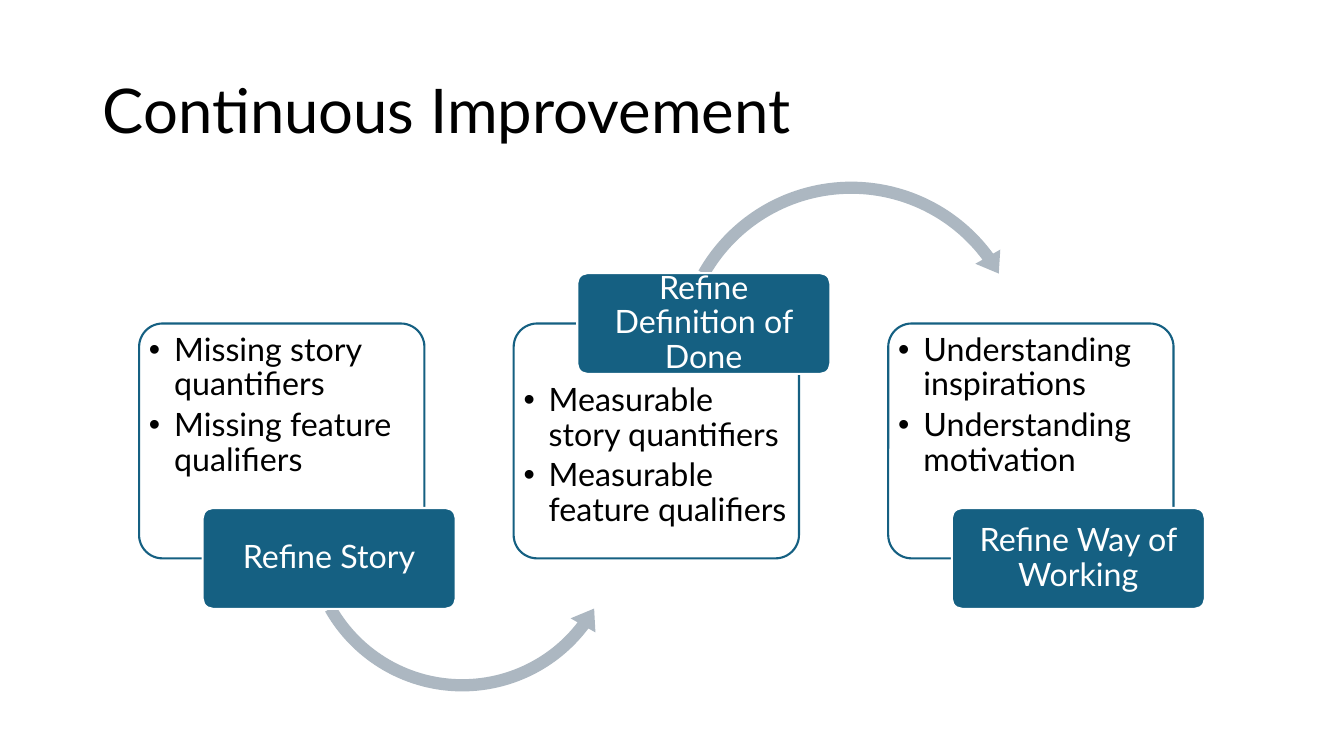
from lxml.etree import SubElement
from pptx import Presentation
from pptx.dml.color import RGBColor
from pptx.enum.shapes import MSO_SHAPE
from pptx.enum.text import MSO_ANCHOR, PP_ALIGN
from pptx.oxml.ns import qn
from pptx.util import Inches, Pt

SLIDE_WIDTH, SLIDE_HEIGHT = 13.33, 7.5
FONT = "Lato"
BLACK, WHITE, TEAL, GREY = "000000", "FFFFFF", "156082", "ACB7C1"

COLUMN_LEFT, COLUMN_STEP = 1.38, 3.715
CARD_TOP, CARD_WIDTH, CARD_HEIGHT = 3.21, 2.83, 2.33
LABEL_SHIFT, LABEL_WIDTH, LABEL_HEIGHT = 0.63, 2.51, 1

STEPS = [
    ("Refine Story", ["Missing story quantifiers", "Missing feature qualifiers"], False),
    ("Refine Definition of Done", ["Measurable story quantifiers", "Measurable feature qualifiers"], True),
    ("Refine Way of Working", ["Understanding inspirations", "Understanding motivation"], False),
]
ARROWS = [
    (MSO_SHAPE.LEFT_CIRCULAR_ARROW, 0.42, 5.295, 3.29, [0.037, 4.574, 22.329, 90.245, 0.043]),
    (MSO_SHAPE.CIRCULAR_ARROW, 1.41, 3.545, 3.65, [0.033, 4.086, 194.159, 125.755, 0.039]),
]


def colour(value):
    return RGBColor.from_string(value)


def apply_format(target, values):
    for name, value in values.items():
        setattr(target, name, value)


def column_left(column):
    return COLUMN_LEFT + column * COLUMN_STEP


def add_block(slide, kind, area, fill, line=None, adjustments=(0.1,)):
    block = slide.shapes.add_shape(kind, *map(Inches, area))
    block.shadow.inherit = False
    for index, value in enumerate(adjustments):
        block.adjustments[index] = value
    block.fill.solid()
    block.fill.fore_color.rgb = colour(fill)
    if line:
        block.line.color.rgb = colour(line)
        block.line.width = Pt(1.5)
    else:
        block.line.fill.background()
    return block


def write_text(box, lines, size, text_colour, frame_format, para_format):
    frame = box.text_frame
    apply_format(frame, {"word_wrap": True, **frame_format})
    for index, line in enumerate(lines):
        para = frame.add_paragraph() if index else frame.paragraphs[0]
        apply_format(para, {"line_spacing": 0.9, **para_format})
        span = para.add_run()
        span.text = line
        apply_format(span.font, {"name": FONT, "size": Pt(size)})
        span.font.color.rgb = colour(text_colour)


def margins(side, top, bottom):
    return {
        "margin_left": Inches(side),
        "margin_right": Inches(side),
        "margin_top": Inches(top),
        "margin_bottom": Inches(bottom),
    }


def add_bullets(box):
    for para in box.text_frame.paragraphs:
        properties = para._p.get_or_add_pPr()
        properties.set("marL", str(Inches(0.25)))
        properties.set("indent", str(Inches(-0.25)))
        SubElement(properties, qn("a:buFont"), typeface="Arial")
        SubElement(properties, qn("a:buChar"), char="•")


def add_title(slide, text):
    box = slide.shapes.add_textbox(*map(Inches, (0.92, 0.4, 11.5, 1.45)))
    write_text(box, [text], 44, BLACK, {"vertical_anchor": MSO_ANCHOR.MIDDLE}, {})


def add_card(slide, column, points, label_on_top):
    area = (column_left(column), CARD_TOP, CARD_WIDTH, CARD_HEIGHT)
    card = add_block(slide, MSO_SHAPE.ROUNDED_RECTANGLE, area, WHITE, TEAL)
    fill_colour = card.fill._xPr.find(qn("a:solidFill"))[0]
    SubElement(fill_colour, qn("a:alpha"), val="90000")
    top = LABEL_HEIGHT / 2 + 0.03 if label_on_top else 0.03
    frame_format = {"vertical_anchor": MSO_ANCHOR.TOP, **margins(0.03, top, 0.03)}
    para_format = {"alignment": PP_ALIGN.LEFT, "space_after": Pt(4)}
    write_text(card, points, 23, BLACK, frame_format, para_format)
    add_bullets(card)


def add_label(slide, column, text, label_on_top):
    edge = CARD_TOP if label_on_top else CARD_TOP + CARD_HEIGHT
    area = (column_left(column) + LABEL_SHIFT, edge - LABEL_HEIGHT / 2, LABEL_WIDTH, LABEL_HEIGHT)
    label = add_block(slide, MSO_SHAPE.ROUNDED_RECTANGLE, area, TEAL, WHITE)
    frame_format = {"vertical_anchor": MSO_ANCHOR.MIDDLE, **margins(0.05, 0.03, 0.03)}
    write_text(label, [text], 23, WHITE, frame_format, {"alignment": PP_ALIGN.CENTER})


def add_arrow(slide, kind, column, middle, size, adjustments):
    area = (column_left(column), middle - size / 2, size, size)
    add_block(slide, kind, area, GREY, adjustments=adjustments)


def main():
    deck = Presentation()
    apply_format(deck, {"slide_width": Inches(SLIDE_WIDTH), "slide_height": Inches(SLIDE_HEIGHT)})
    slide = deck.slides.add_slide(deck.slide_layouts[6])
    add_title(slide, "Continuous Improvement")
    for column, (name, points, label_on_top) in enumerate(STEPS):
        add_card(slide, column, points, label_on_top)
        if column < len(ARROWS):
            add_arrow(slide, *ARROWS[column])
        add_label(slide, column, name, label_on_top)
    deck.save("out.pptx")


if __name__ == "__main__":
    main()
